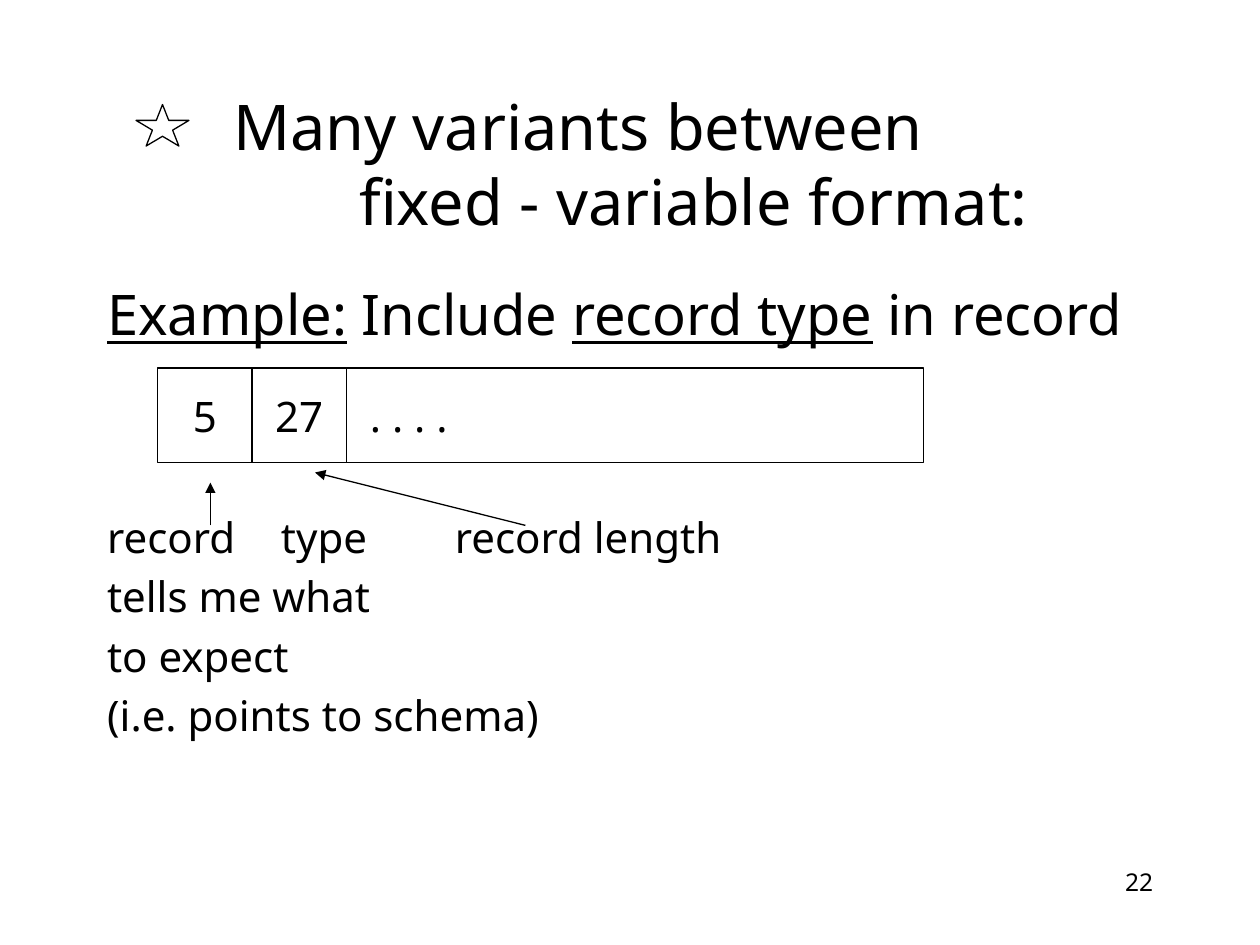
from dataclasses import dataclass
from lxml import etree
from pptx import Presentation
from pptx.dml.color import RGBColor
from pptx.enum.shapes import MSO_CONNECTOR, MSO_SHAPE
from pptx.enum.text import MSO_ANCHOR, MSO_AUTO_SIZE, PP_ALIGN
from pptx.oxml.ns import qn
from pptx.util import Inches, Pt

STAR, RECT = MSO_SHAPE.STAR_5_POINT, MSO_SHAPE.RECTANGLE
LEFT, CENTER, RIGHT = PP_ALIGN.LEFT, PP_ALIGN.CENTER, PP_ALIGN.RIGHT
TOP, MIDDLE = MSO_ANCHOR.TOP, MSO_ANCHOR.MIDDLE
STRAIGHT, FIXED = MSO_CONNECTOR.STRAIGHT, MSO_AUTO_SIZE.NONE


@dataclass
class Theme:
    """Colours, font and sizes of the slide."""
    font: str = "Noto Sans"
    ink: RGBColor = RGBColor(0, 0, 0)
    paper: RGBColor = RGBColor(255, 255, 255)
    title: int = 36
    lead: int = 32
    text: int = 24
    small: int = 14
    line: float = 0.75


class Page:
    """Draws elements on one slide in one style."""

    def __init__(self, slide, theme):
        """Keep the slide and its theme."""
        self.slide, self.theme = slide, theme

    def place(self, shape, left, top, width, height):
        """Move and size a shape, in inches."""
        shape.left, shape.top = Inches(left), Inches(top)
        shape.width, shape.height = Inches(width), Inches(height)

    def style(self, para, size, align=LEFT, lead=None):
        """Format a paragraph and its runs."""
        para.alignment = align
        if lead:
            para.line_spacing = Pt(lead)
        for run in para.runs:
            font = run.font
            font.name, font.size = self.theme.font, Pt(size)
            font.color.rgb = self.theme.ink

    def title(self, text, tab, *box):
        """Fill the title placeholder, with tabs of equal width."""
        shape = self.slide.shapes.title
        self.place(shape, *box)
        frame = shape.text_frame
        frame.auto_size, frame.vertical_anchor = FIXED, MIDDLE
        frame.text = text
        para = frame.paragraphs[0]
        self.style(para, self.theme.title, lead=43)
        self.plain(para, tab)

    def body(self, lead, lines, tab, *box):
        """Fill the body with a lead line of (text, underline) and notes."""
        shape = self.slide.placeholders[1]
        self.place(shape, *box)
        frame = shape.text_frame
        frame.auto_size, frame.vertical_anchor = FIXED, TOP
        first = frame.paragraphs[0]
        for text, under in lead:
            run = first.add_run()
            run.text, run.font.underline = text, under
        self.style(first, self.theme.lead, lead=38.4)
        self.plain(first, tab)
        for index, text in enumerate(lines):
            para = frame.add_paragraph()
            para.text = text
            self.style(para, self.theme.text, lead=29)
            para.space_before = Pt(4.8 if index else 94)
            self.plain(para, tab)

    def plain(self, para, tab):
        """Drop bullet and indent, and set the tab width."""
        props = para._p.get_or_add_pPr()
        props.set("marL", "0")
        props.set("indent", "0")
        props.set("defTabSz", str(Inches(tab)))
        etree.SubElement(props, qn("a:buNone"))

    def shape(self, kind, *box, text="", align=CENTER):
        """Add an outlined shape, with text if given."""
        shape = self.slide.shapes.add_shape(kind, *map(Inches, box))
        shape.shadow.inherit = False
        shape.fill.solid()
        shape.fill.fore_color.rgb = self.theme.paper
        shape.line.color.rgb = self.theme.ink
        shape.line.width = Pt(self.theme.line)
        if text:
            frame = shape.text_frame
            frame.word_wrap, frame.vertical_anchor = False, MIDDLE
            frame.text = text
            self.style(frame.paragraphs[0], self.theme.text, align)

    def label(self, text, *box):
        """Add a small text box set to the right."""
        frame = self.slide.shapes.add_textbox(*map(Inches, box)).text_frame
        frame.word_wrap = True
        frame.text = text
        self.style(frame.paragraphs[0], self.theme.small, RIGHT)

    def arrow(self, *ends):
        """Add a line with an arrowhead at its end."""
        link = self.slide.shapes.add_connector(STRAIGHT, *map(Inches, ends))
        link.line.color.rgb = self.theme.ink
        link.line.width = Pt(self.theme.line)
        etree.SubElement(link.line._get_or_add_ln(), qn("a:tailEnd"),
                         type="triangle")
        etree.SubElement(link._element.spPr, qn("a:effectLst"))


def main():
    """Build and save the slide."""
    deck = Presentation()
    deck.slide_width, deck.slide_height = Inches(10), Inches(7.5)
    page = Page(deck.slides.add_slide(deck.slide_layouts[1]), Theme())
    page.label("22", 7.17, 6.83, 2.08, 0.5)
    page.title("\tMany variants between\v\t\tfixed - variable format:",
               1, 0.75, 0.67, 8.5, 1.25)
    page.body([("Example:", True), (" Include ", False),
               ("record type", True), (" in record", False)],
              ["record\ttype\trecord length", "tells me what",
               "to expect", "(i.e. points to schema)"],
              1.38, 0.75, 2.17, 8.5, 4.5)
    page.shape(STAR, 1.08, 0.83, 0.42, 0.33)
    left, side = 1.25, 0.75
    for text, width, align in (("5", side, CENTER), ("27", side, CENTER),
                               (" . . . . ", 4.58, LEFT)):
        page.shape(RECT, left, 2.92, width, side, text=text, align=align)
        left += width
    page.arrow(1.67, 4.17, 1.67, 3.83)
    page.arrow(4.17, 4.17, 2.5, 3.75)
    deck.save("out.pptx")


main()
